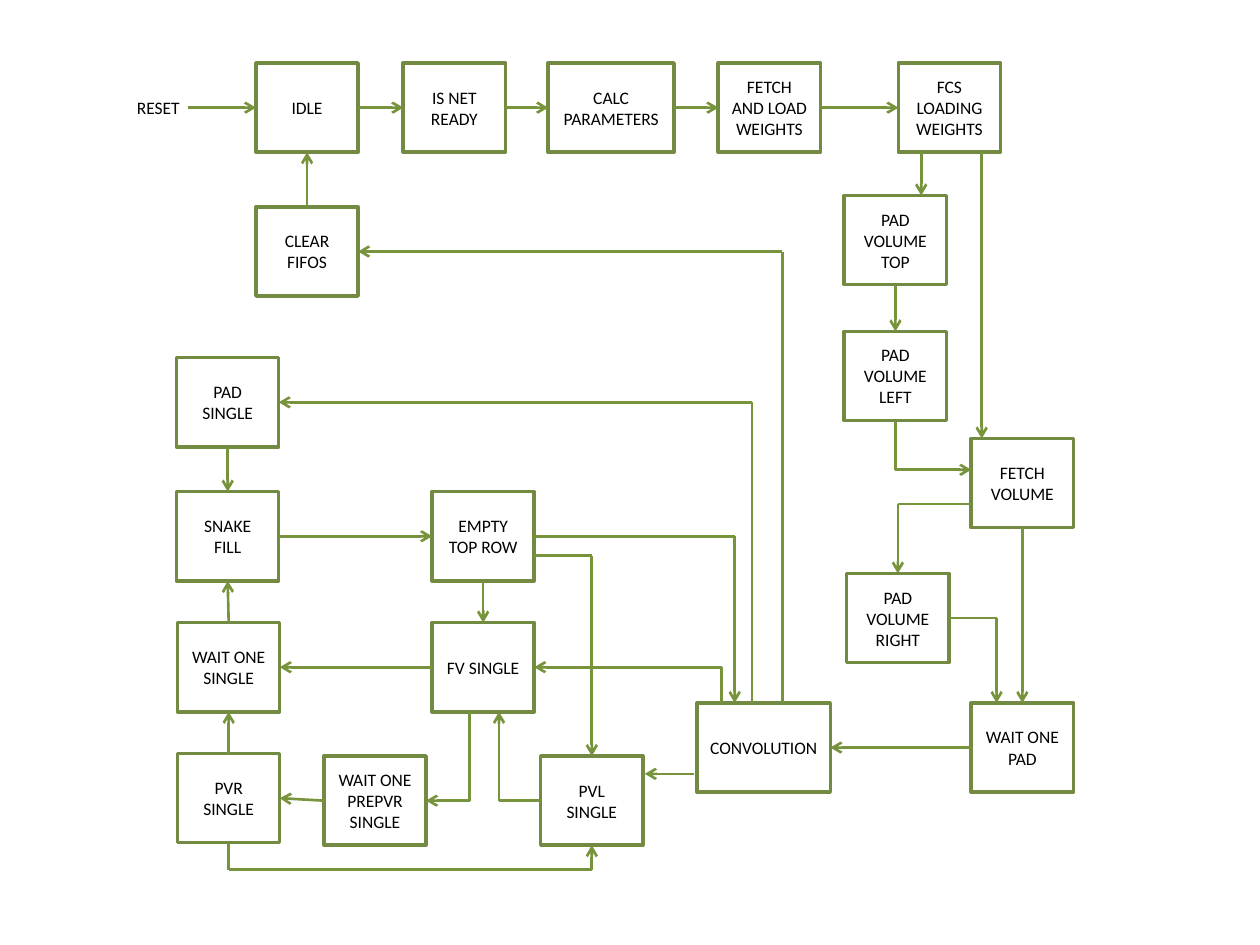
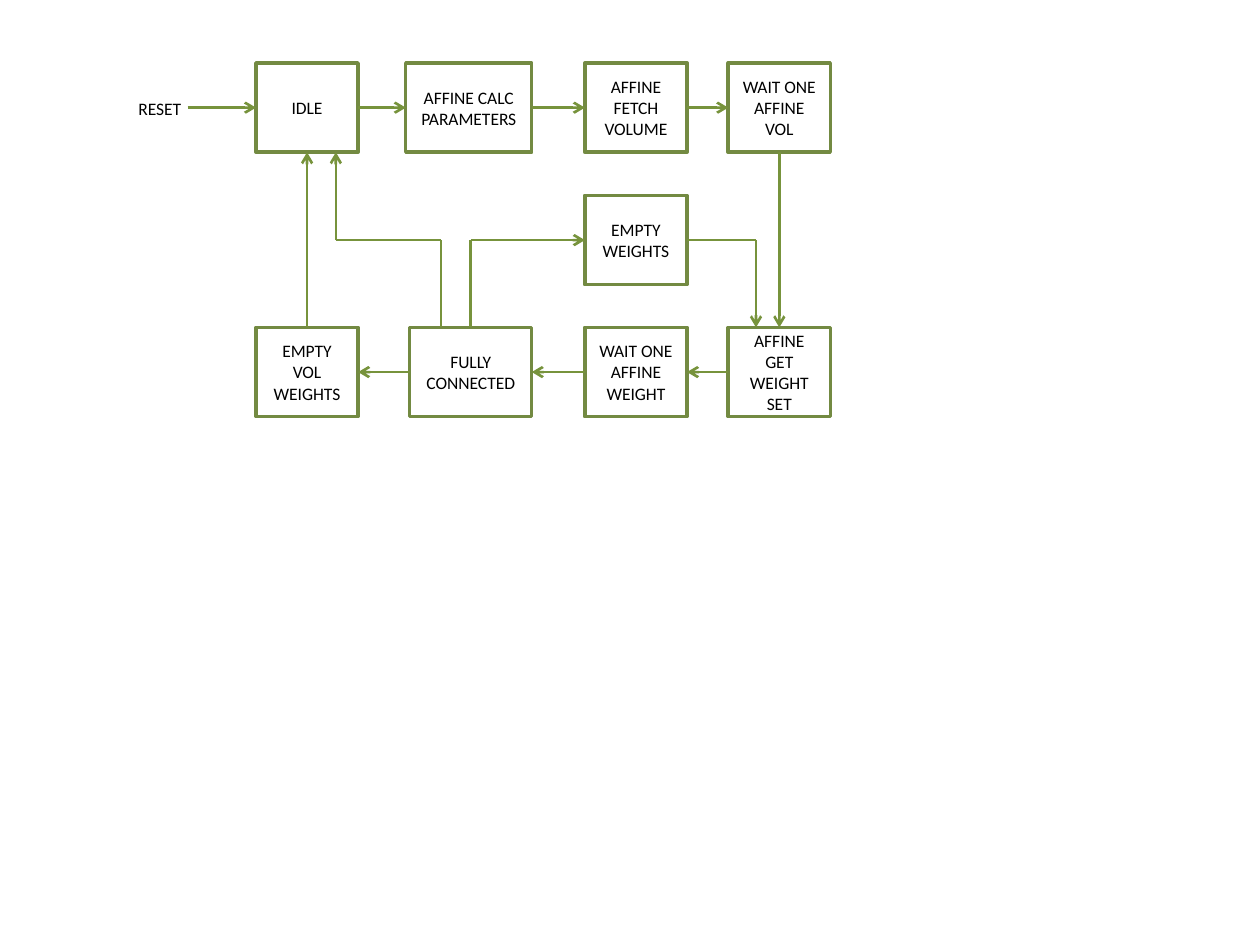
from itertools import pairwise

from lxml import etree
from pptx import Presentation
from pptx import util as u
from pptx.dml.color import RGBColor
from pptx.enum import shapes, text
from pptx.oxml.ns import qn

COLORS = {"border": "738A42", "arrow": "77933C", "text": "000000"}
BOX_W, BOX_H = 2.06, 1.8
TOP, LEFT, BOTTOM, RIGHT = range(4)


class StateDiagram:
    """Holds the style, the current slide and its state boxes (lengths in cm)."""

    font, size = "Calibri", u.Pt(10)

    def __init__(self, prs):
        self.prs = prs

    def new_slide(self):
        self.s = self.prs.slides.add_slide(self.prs.slide_layouts[6])
        self.boxes = {}

    def set_text(self, sp, label, align):
        p = sp.text_frame.paragraphs[0]
        p.text, p.alignment = label, align
        p.font.name, p.font.size = self.font, self.size
        p.font.color.rgb = RGBColor.from_string(COLORS["text"])

    def box(self, label, x, y, w=BOX_W):
        sp = self.s.shapes.add_shape(shapes.MSO_SHAPE.RECTANGLE,
                                     u.Cm(x), u.Cm(y), u.Cm(w), u.Cm(BOX_H))
        sp.shadow.inherit = False
        sp.fill.background()
        sp.line.color.rgb = RGBColor.from_string(COLORS["border"])
        sp.line.width = u.Pt(2)
        sp.text_frame.word_wrap = True
        sp.text_frame.vertical_anchor = text.MSO_ANCHOR.MIDDLE
        self.set_text(sp, label, text.PP_ALIGN.CENTER)
        self.boxes[label] = sp

    def label(self, label, x, y, w, h):
        sp = self.s.shapes.add_textbox(u.Cm(x), u.Cm(y), u.Cm(w), u.Cm(h))
        sp.text_frame.word_wrap = True
        sp.text_frame.auto_size = text.MSO_AUTO_SIZE.SHAPE_TO_FIT_TEXT
        self.set_text(sp, label, text.PP_ALIGN.LEFT)

    def line(self, start, end, arrow):
        """Each end is a point (x, y) or a box side (label, side)."""
        c = self.s.shapes.add_connector(shapes.MSO_CONNECTOR.STRAIGHT, 0, 0, 0, 0)
        if start[0] in self.boxes:
            c.begin_connect(self.boxes[start[0]], start[1])
        else:
            c.begin_x, c.begin_y = map(u.Cm, start)
        if end[0] in self.boxes:
            c.end_connect(self.boxes[end[0]], end[1])
        else:
            c.end_x, c.end_y = map(u.Cm, end)
        c.line.color.rgb = RGBColor.from_string(COLORS["arrow"])
        c.line.width = u.Pt(1.5)
        sp_pr = c._element.spPr
        if arrow:
            etree.SubElement(sp_pr.find(qn("a:ln")), qn("a:tailEnd"), type="arrow")
        etree.SubElement(sp_pr, qn("a:effectLst"))

    def route(self, *stops):
        """Lines through all stops, with an arrowhead at the last one."""
        legs = list(pairwise(stops))
        for i, (start, end) in enumerate(legs, 1):
            self.line(start, end, arrow=i == len(legs))

    def chain(self, side_out, side_in, *labels):
        for a, b in pairwise(labels):
            self.route((a, side_out), (b, side_in))

    def reset(self, x, y):
        self.label("RESET", x, y, 1.47, 0.69)
        self.route((3.78, 2.17), ("IDLE", LEFT))


def convolution_slide(d):
    d.new_slide()
    # States
    for state in (
        ("IDLE", 5.16, 1.27),
        ("IS NET READY", 8.13, 1.27),
        ("CALC PARAMETERS", 11.05, 1.27, 2.54),
        ("FETCH AND LOAD WEIGHTS", 14.48, 1.27),
        ("FCS LOADING WEIGHTS", 18.11, 1.27),
        ("PAD VOLUME TOP", 17.02, 3.94),
        ("PAD VOLUME LEFT", 17.02, 6.68),
        ("FETCH VOLUME", 19.58, 8.84),
        ("PAD VOLUME RIGHT", 17.07, 11.56),
        ("WAIT ONE PAD", 19.58, 14.17),
        ("CONVOLUTION", 14.05, 14.17, 2.69),
        ("CLEAR FIFOS", 5.16, 4.17),
        ("PAD SINGLE", 3.56, 7.21),
        ("SNAKE FILL", 3.56, 9.91),
        ("EMPTY TOP ROW", 8.71, 9.91),
        ("WAIT ONE SINGLE", 3.58, 12.55),
        ("FV SINGLE", 8.71, 12.55),
        ("PVR SINGLE", 3.58, 15.19),
        ("WAIT ONE PREPVR SINGLE", 6.53, 15.24),
        ("PVL SINGLE", 10.9, 15.24),
    ):
        d.box(*state)
    d.reset(2.51, 1.83)

    # Direct transitions
    d.chain(RIGHT, LEFT, "IDLE", "IS NET READY", "CALC PARAMETERS",
            "FETCH AND LOAD WEIGHTS", "FCS LOADING WEIGHTS")
    d.chain(RIGHT, LEFT, "SNAKE FILL", "EMPTY TOP ROW")
    d.chain(LEFT, RIGHT, "WAIT ONE PAD", "CONVOLUTION")
    d.chain(LEFT, RIGHT, "FV SINGLE", "WAIT ONE SINGLE")
    d.chain(LEFT, RIGHT, "WAIT ONE PREPVR SINGLE", "PVR SINGLE")
    d.chain(TOP, BOTTOM, "PVR SINGLE", "WAIT ONE SINGLE", "SNAKE FILL")
    d.chain(TOP, BOTTOM, "CLEAR FIFOS", "IDLE")
    d.chain(BOTTOM, TOP, "PAD SINGLE", "SNAKE FILL")
    d.chain(BOTTOM, TOP, "EMPTY TOP ROW", "FV SINGLE")
    d.chain(BOTTOM, TOP, "PAD VOLUME TOP", "PAD VOLUME LEFT")
    d.chain(BOTTOM, TOP, "FETCH VOLUME", "WAIT ONE PAD")

    # Volume loading and padding
    d.route((18.57, 3.07), (18.57, 3.94))
    d.route((19.79, 3.07), (19.79, 8.84))
    d.route(("PAD VOLUME LEFT", BOTTOM), (18.05, 9.47), (19.58, 9.47))
    d.route((19.58, 10.16), (18.1, 10.16), ("PAD VOLUME RIGHT", TOP))
    d.route(("PAD VOLUME RIGHT", RIGHT), (20.09, 12.46), (20.09, 14.17))

    # Out of and into the convolution
    d.route((14.0, 15.6), (13.0, 15.6))
    d.route((14.55, 14.17), (14.55, 13.45), ("FV SINGLE", RIGHT))
    d.route((15.16, 14.17), (15.16, 8.11), ("PAD SINGLE", RIGHT))
    d.route((15.77, 14.17), (15.77, 5.07), ("CLEAR FIFOS", RIGHT))
    d.route(("EMPTY TOP ROW", RIGHT), (14.81, 10.81), (14.81, 14.17))

    # Single-row loop
    d.route((10.77, 11.2), (11.93, 11.2), ("PVL SINGLE", TOP))
    d.route(("PVL SINGLE", LEFT), (10.06, 16.14), (10.06, 14.35))
    d.route((9.47, 14.35), (9.47, 16.14), ("WAIT ONE PREPVR SINGLE", RIGHT))
    d.route(("PVR SINGLE", BOTTOM), (4.61, 17.53), (11.93, 17.53),
            ("PVL SINGLE", BOTTOM))


def affine_slide(d):
    d.new_slide()
    # States
    for state in (
        ("IDLE", 5.16, 1.27),
        ("AFFINE CALC PARAMETERS", 8.18, 1.27, 2.54),
        ("AFFINE FETCH VOLUME", 11.79, 1.27),
        ("WAIT ONE AFFINE VOL", 14.68, 1.27),
        ("EMPTY WEIGHTS", 11.79, 3.94),
        ("EMPTY VOL WEIGHTS", 5.16, 6.6),
        ("FULLY CONNECTED", 8.26, 6.6, 2.46),
        ("WAIT ONE AFFINE WEIGHT", 11.79, 6.6),
        ("AFFINE GET WEIGHT SET", 14.68, 6.6),
    ):
        d.box(*state)
    d.reset(2.54, 1.85)

    # Direct transitions
    d.chain(RIGHT, LEFT, "IDLE", "AFFINE CALC PARAMETERS",
            "AFFINE FETCH VOLUME", "WAIT ONE AFFINE VOL")
    d.chain(BOTTOM, TOP, "WAIT ONE AFFINE VOL", "AFFINE GET WEIGHT SET")
    d.chain(LEFT, RIGHT, "AFFINE GET WEIGHT SET", "WAIT ONE AFFINE WEIGHT",
            "FULLY CONNECTED", "EMPTY VOL WEIGHTS")
    d.chain(TOP, BOTTOM, "EMPTY VOL WEIGHTS", "IDLE")

    # Bent transitions
    d.route((8.89, 6.6), (8.89, 4.84), (6.77, 4.84), (6.77, 3.07))
    d.route(("FULLY CONNECTED", TOP), (9.49, 4.84), ("EMPTY WEIGHTS", LEFT))
    d.route(("EMPTY WEIGHTS", RIGHT), (15.24, 4.84), (15.24, 6.6))


def main():
    prs = Presentation()
    prs.slide_width, prs.slide_height = u.Cm(25.4), u.Cm(19.05)
    d = StateDiagram(prs)
    convolution_slide(d)
    affine_slide(d)
    prs.save("out.pptx")


if __name__ == "__main__":
    main()
